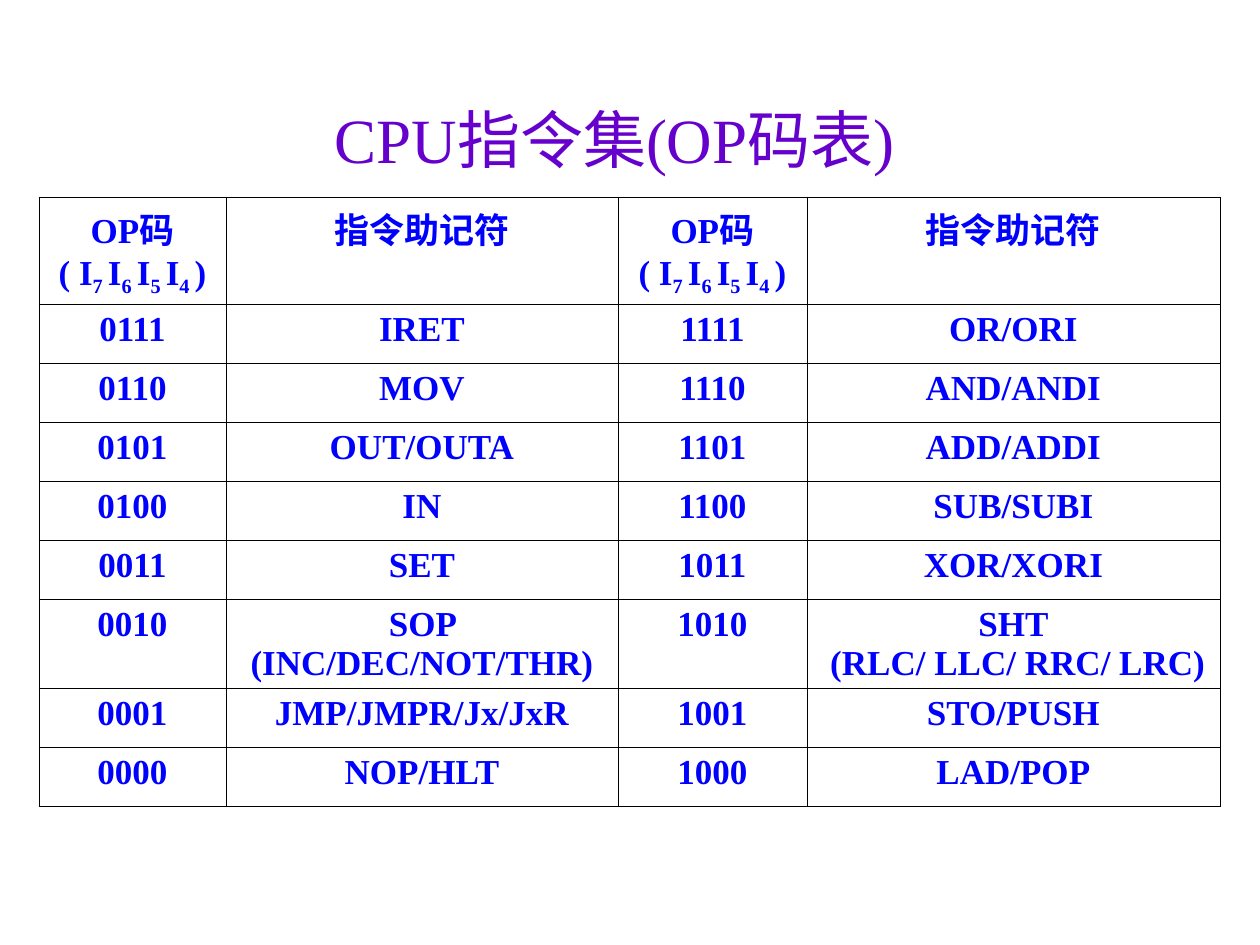
from dataclasses import dataclass

from lxml import etree
from pptx import Presentation
from pptx.dml.color import RGBColor
from pptx.enum.text import MSO_ANCHOR, PP_ALIGN
from pptx.oxml.ns import qn
from pptx.util import Pt

CENTER = PP_ALIGN.CENTER
MIDDLE = MSO_ANCHOR.MIDDLE
PX = 914400 // 126


@dataclass(frozen=True)
class Theme:
    """Colours, type sizes and line width of the slide."""

    font: str = "Times New Roman"
    title_color: str = "6600CC"
    text_color: str = "0000FF"
    border_color: str = "000000"
    title_size: int = 36
    text_size: int = 20
    border_width: float = 0.45
    subscript: str = "-25000"


THEME = Theme()
TITLE = "CPU指令集(OP码表)"
TITLE_BOX = (79, 88, 1071, 101)
TABLE_BOX = (39, 197, 1181, 594)
COLUMN_WIDTHS = (187, 392, 189, 413)
HEADER_HEIGHT, ROW_HEIGHT, TALL_ROW_HEIGHT = 96, 59, 83
INSET_X, INSET_Y = 10, 6
OPCODE_BITS = "7654"
HEADINGS = ("OP码", "指令助记符") * 2
LOW_MNEMONICS = (
    "NOP/HLT", "JMP/JMPR/Jx/JxR", "SOP (INC/DEC/NOT/THR)", "SET",
    "IN", "OUT/OUTA", "MOV", "IRET",
)
HIGH_MNEMONICS = (
    "LAD/POP", "STO/PUSH", "SHT\n (RLC/ LLC/ RRC/ LRC)", "XOR/XORI",
    "SUB/SUBI", "ADD/ADDI", "AND/ANDI", "OR/ORI",
)
TALL_CODE = 2


def format_paragraph(paragraph, size, color, bold):
    """Centre a paragraph and set its font."""
    paragraph.alignment = CENTER
    font = paragraph.font
    font.name = THEME.font
    font.size = Pt(size)
    font.bold = bold
    font.color.rgb = RGBColor.from_string(color)


def add_title(slide, box):
    """Place the slide title in the given box."""
    title = slide.shapes.title
    title.left, title.top, title.width, title.height = (length * PX for length in box)
    title.text_frame.text = TITLE
    title.text_frame.vertical_anchor = MIDDLE
    format_paragraph(title.text_frame.paragraphs[0], THEME.title_size, THEME.title_color, False)


def add_opcode_bits(paragraph):
    """Write the opcode bit names with subscript indices."""
    paragraph.add_run().text = "( I"
    for bit in OPCODE_BITS:
        index = paragraph.add_run()
        index.text = f"{bit} "
        index.font._element.set("baseline", THEME.subscript)
        paragraph.add_run().text = ")" if bit == OPCODE_BITS[-1] else "I"


def add_borders(cell):
    """Draw a thin line on each side of a cell."""
    properties = cell._tc.get_or_add_tcPr()
    for position, side in enumerate(("lnL", "lnR", "lnT", "lnB")):
        line = etree.Element(qn(f"a:{side}"), w=str(Pt(THEME.border_width)))
        fill = etree.SubElement(line, qn("a:solidFill"))
        etree.SubElement(fill, qn("a:srgbClr"), val=THEME.border_color)
        properties.insert(position, line)


def fill_cell(cell, text, with_bits):
    """Write and format one table cell."""
    cell.text = text
    if with_bits:
        add_opcode_bits(cell.text_frame.add_paragraph())
    for paragraph in cell.text_frame.paragraphs:
        format_paragraph(paragraph, THEME.text_size, THEME.text_color, True)
    cell.margin_left = cell.margin_right = INSET_X * PX
    cell.margin_top = cell.margin_bottom = INSET_Y * PX
    cell.fill.background()
    add_borders(cell)


def add_opcode_table(slide, box):
    """Place the table of opcodes and mnemonics in the given box."""
    codes = range(len(LOW_MNEMONICS) - 1, -1, -1)
    rows = [HEADINGS] + [
        (f"{code:04b}", LOW_MNEMONICS[code], f"{code + 8:04b}", HIGH_MNEMONICS[code])
        for code in codes
    ]
    heights = [HEADER_HEIGHT] + [
        TALL_ROW_HEIGHT if code == TALL_CODE else ROW_HEIGHT for code in codes
    ]
    frame = slide.shapes.add_table(
        len(rows), len(COLUMN_WIDTHS), *(length * PX for length in box)
    )
    table = frame.table
    table.first_row = table.horz_banding = False
    for column, width in zip(table.columns, COLUMN_WIDTHS):
        column.width = width * PX
    for row_index, (texts, height) in enumerate(zip(rows, heights)):
        table.rows[row_index].height = height * PX
        for column_index, text in enumerate(texts):
            with_bits = row_index == 0 and column_index % 2 == 0
            fill_cell(table.cell(row_index, column_index), text, with_bits)


def main():
    """Build and save the slide."""
    presentation = Presentation()
    presentation.slide_width = 1260 * PX
    presentation.slide_height = 945 * PX
    slide = presentation.slides.add_slide(presentation.slide_layouts[5])
    add_title(slide, TITLE_BOX)
    add_opcode_table(slide, TABLE_BOX)
    presentation.save("out.pptx")


if __name__ == "__main__":
    main()
